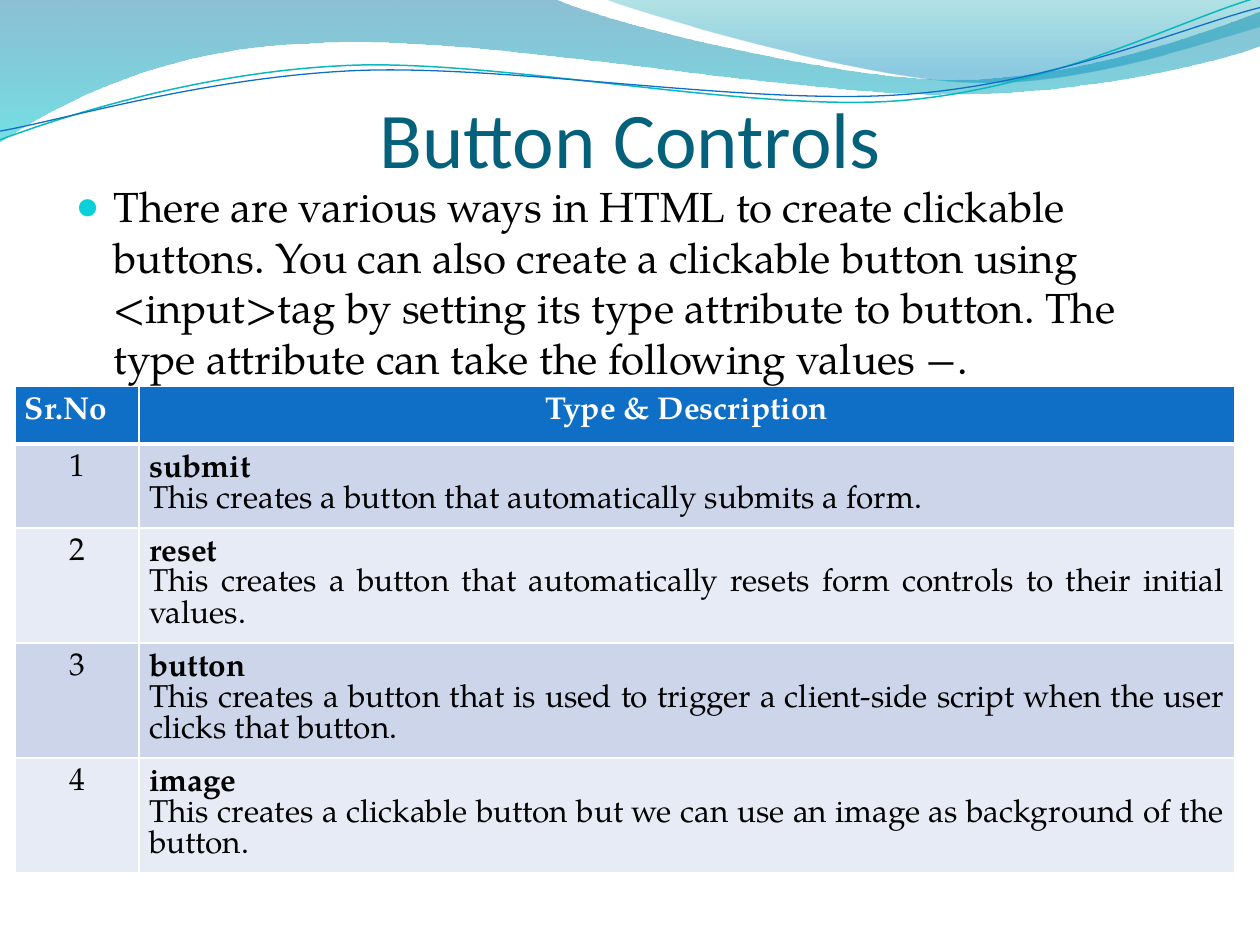
from dataclasses import dataclass

from lxml import etree
from pptx import Presentation
from pptx.dml.color import RGBColor
from pptx.enum.text import MSO_ANCHOR, MSO_AUTO_SIZE, PP_ALIGN
from pptx.oxml.ns import qn
from pptx.util import Pt

LEFT, CENTER, JUSTIFY = PP_ALIGN.LEFT, PP_ALIGN.CENTER, PP_ALIGN.JUSTIFY
TOP, BOTTOM = MSO_ANCHOR.TOP, MSO_ANCHOR.BOTTOM
NO_AUTOFIT = MSO_AUTO_SIZE.NONE


@dataclass(frozen=True)
class Theme:
    title_font: str = "Calibri"
    text_font: str = "TeX Gyre Pagella"
    title_size: float = 45
    body_size: float = 24
    table_size: float = 18
    title: str = "04617B"
    text: str = "000000"
    white: str = "FFFFFF"
    bullet: str = "0BD0D9"
    header: str = "0F6FC6"
    bands: tuple = ("CCD5EA", "E7EBF5")
    teal_line: str = "0AB8BF"
    back_wave: tuple = ((0, "0074A1", 45), (1, "00C6CF", 55))
    front_wave: tuple = ((0, "00A1A9", 30), (0.8, "008BBF", 45))


THEME = Theme()

BACK_WAVE = [
    (0, 0), (316.8, -0.7),
    (342.7, 12.2, 478.1, 45.4, 545.8, 45.4),
    (614.2, 45.4, 689.8, 18.7, 720, 6.5),
    (720.7, 25.9),
    (707.8, 31.7, 626.4, 54.7, 537.1, 54),
    (447.8, 54, 275, 20.2, 185, 24.5),
    (92.9, 25.9, 33.1, 59.8, -0.7, 81.4),
    (0, 0),
]
FRONT_WAVE = [
    (344.9, -0.7),
    (366.5, 7.9, 491, 44.6, 553.7, 46.8),
    (616.3, 49.7, 691.9, 23, 720, 15.1),
    (720, 0), (344.9, -0.7),
]
TEAL_CURVE = [
    (0, 79.9),
    (34.6, 67, 113.8, 41, 199.4, 37.4),
    (284.4, 33.8, 427, 64.1, 513.4, 57.6),
    (599.8, 51.1, 675.4, 10.8, 718.6, -1.4),
]
BLUE_CURVE = [
    (0, 74.9),
    (33.8, 69.1, 118.1, 43.9, 203.8, 40.3),
    (290.2, 36.7, 429.8, 60.5, 516.2, 54),
    (601.9, 48.2, 677.5, 15.1, 720, 4.3),
]

BODY_TEXT = (
    "There are various ways in HTML to create clickable buttons. You can also "
    "create a clickable button using <input>tag by setting its type attribute "
    "to button. The type attribute can take the following values −."
)
BUTTON_TYPES = [
    ("submit", "This creates a button that automatically submits a form."),
    ("reset", "This creates a button that automatically resets form controls to their initial values."),
    ("button", "This creates a button that is used to trigger a client-side script when the user clicks that button."),
    ("image", "This creates a clickable button but we can use an image as background of the button."),
]


def color(value):
    return RGBColor.from_string(value)


def add_run(paragraph, text, font, size, value, bold=False):
    run = paragraph.add_run()
    run.text = text
    run.font.name = font
    run.font.size = Pt(size)
    run.font.bold = bold
    run.font.color.rgb = color(value)


def bend_lines(shape, segments):
    lines = iter(list(shape.element.iter(qn("a:lnTo"))))
    for segment in segments[1:]:
        first = next(lines)
        if len(segment) == 2:
            continue
        curve = etree.Element(qn("a:cubicBezTo"))
        first.addprevious(curve)
        for line in (first, next(lines), next(lines)):
            curve.append(line[0])
            line.getparent().remove(line)


def add_outline(slide, segments, level, closed):
    points = [
        (Pt(segment[index]), Pt(segment[index + 1]))
        for segment in segments
        for index in range(0, len(segment), 2)
    ]
    builder = slide.shapes.build_freeform(*points[0])
    builder.add_line_segments(points[1:], close=closed)
    shape = builder.convert_to_shape()
    shape.shadow.inherit = False
    bend_lines(shape, segments)
    tree = shape.element.getparent()
    tree.insert(2 + level, shape.element)
    return shape


def add_wave(slide, segments, level, stops):
    shape = add_outline(slide, segments, level, True)
    shape.line.fill.background()
    shape.fill.gradient()
    shape.fill.gradient_angle = 270
    for stop, (position, value, _) in zip(shape.fill.gradient_stops, stops):
        stop.position = position
        stop.color.rgb = color(value)
    fills = shape.element.spPr.iter(qn("a:srgbClr"))
    for element, (_, _, opacity) in zip(list(fills), stops):
        etree.SubElement(element, qn("a:alpha"), val=str(opacity * 1000))


def add_curve(slide, segments, level, value, width):
    shape = add_outline(slide, segments, level, False)
    shape.fill.background()
    shape.line.color.rgb = color(value)
    shape.line.width = Pt(width)


def place(shape, left, top, width, height):
    shape.left, shape.top, shape.width, shape.height = Pt(left), Pt(top), Pt(width), Pt(height)


def fill_title(shape, text):
    place(shape, 36, 55, 648, 50.4)
    frame = shape.text_frame
    frame.auto_size = NO_AUTOFIT
    frame.vertical_anchor = BOTTOM
    frame.margin_left = frame.margin_right = frame.margin_bottom = 0
    frame.margin_top = Pt(3.6)
    paragraph = frame.paragraphs[0]
    paragraph.alignment = CENTER
    add_run(paragraph, text, THEME.title_font, THEME.title_size, THEME.title)


def fill_body(shape, text):
    place(shape, 36, 99.8, 648, 398)
    frame = shape.text_frame
    frame.auto_size = NO_AUTOFIT
    frame.vertical_anchor = TOP
    paragraph = frame.paragraphs[0]
    paragraph.alignment = LEFT
    paragraph.space_before = Pt(4.8)
    add_run(paragraph, text, THEME.text_font, THEME.body_size, THEME.text)
    properties = paragraph._p.get_or_add_pPr()
    properties.set("marL", str(Pt(21.6)))
    properties.set("indent", str(Pt(-21.6)))
    bullet_color = etree.SubElement(properties, qn("a:buClr"))
    etree.SubElement(bullet_color, qn("a:srgbClr"), val=THEME.bullet)
    etree.SubElement(properties, qn("a:buSzPct"), val="95000")
    etree.SubElement(properties, qn("a:buChar"), char="●")


def set_borders(cell, top=1, bottom=1):
    properties = cell._tc.get_or_add_tcPr()
    for side, width in (("L", 1), ("R", 1), ("T", top), ("B", bottom)):
        line = etree.SubElement(properties, qn(f"a:ln{side}"), w=str(Pt(width)))
        fill = etree.SubElement(line, qn("a:solidFill"))
        etree.SubElement(fill, qn("a:srgbClr"), val=THEME.white)


def fill_cell(cell, lines, alignment, background, value, **borders):
    cell.margin_left = cell.margin_right = cell.margin_top = Pt(5.75)
    cell.margin_bottom = Pt(6.05)
    set_borders(cell, **borders)
    cell.fill.solid()
    cell.fill.fore_color.rgb = color(background)
    frame = cell.text_frame
    for index, (text, bold) in enumerate(lines):
        paragraph = frame.add_paragraph() if index else frame.paragraphs[0]
        paragraph.alignment = alignment
        paragraph.line_spacing = Pt(THEME.table_size)
        add_run(paragraph, text, THEME.text_font, THEME.table_size, value, bold)


def add_type_table(slide):
    heights = (33, 43, 60, 60, 60)
    frame = slide.shapes.add_table(len(heights), 2, Pt(8.5), Pt(220.8), Pt(697), Pt(sum(heights)))
    table = frame.table
    for column, width in zip(table.columns, (71, 626)):
        column.width = Pt(width)
    for row, height in zip(table.rows, heights):
        row.height = Pt(height)
    for column, (text, alignment) in enumerate((("Sr.No", LEFT), ("Type & Description", CENTER))):
        fill_cell(table.cell(0, column), [(text, True)], alignment, THEME.header, THEME.white, bottom=3)
    for number, (name, description) in enumerate(BUTTON_TYPES, 1):
        band = THEME.bands[(number - 1) % 2]
        top = 3 if number == 1 else 1
        fill_cell(table.cell(number, 0), [(str(number), False)], CENTER, band, THEME.text, top=top)
        lines = [(name, True), (description, False)]
        fill_cell(table.cell(number, 1), lines, JUSTIFY, band, THEME.text, top=top)


def main():
    presentation = Presentation()
    presentation.slide_width, presentation.slide_height = Pt(720), Pt(540)
    slide = presentation.slides.add_slide(presentation.slide_layouts[1])
    add_wave(slide, BACK_WAVE, 0, THEME.back_wave)
    add_wave(slide, FRONT_WAVE, 1, THEME.front_wave)
    add_curve(slide, TEAL_CURVE, 2, THEME.teal_line, 0.85)
    add_curve(slide, BLUE_CURVE, 3, THEME.header, 0.75)
    fill_title(slide.shapes.title, "Button Controls")
    fill_body(slide.placeholders[1], BODY_TEXT)
    add_type_table(slide)
    presentation.save("out.pptx")


if __name__ == "__main__":
    main()
